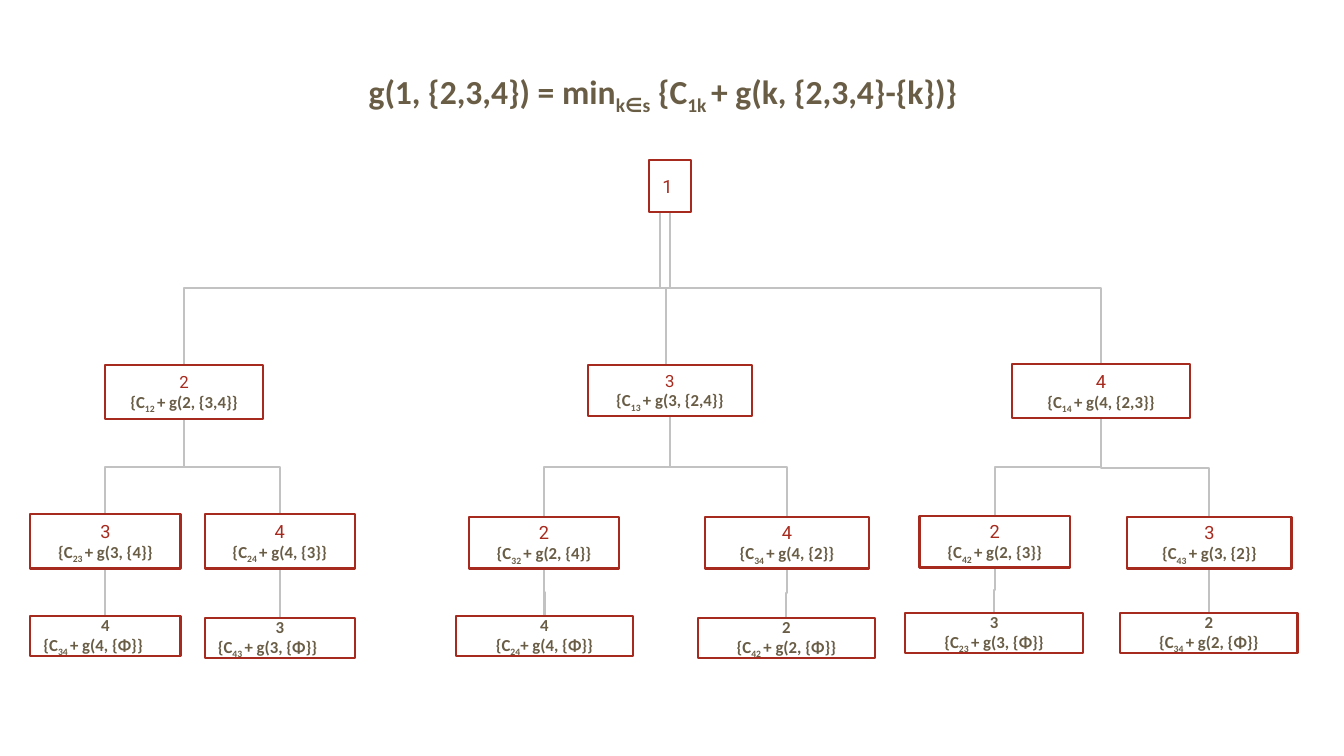
from pptx import Presentation
from pptx.dml.color import RGBColor
from pptx.enum.shapes import MSO_CONNECTOR, MSO_SHAPE
from pptx.enum.text import MSO_ANCHOR, PP_ALIGN
from pptx.oxml.ns import qn
from pptx.util import Inches, Pt
from lxml.etree import SubElement

COLORS = {"red": "A72A1E", "brown": "695D46", "gray": "C2C2C2"}

# Between bars, every second piece is a subscript.
TITLE = "g(1, {2,3,4}) = min|k∈s| {C|1k |+ g(k, {2,3,4}-{k})}"

# Key is the route from the root: left, top, width, height, head size, formula
NODES = {
    "1": (6.44, 1.59, 0.41, 0.51, 13, ""),
    "12": (1.04, 3.62, 1.57, 0.54, 12, "{C|12 |+ g(2, {3,4}}"),
    "13": (5.83, 3.62, 1.63, 0.51, 12, "{C|13 |+ g(3, {2,4}}"),
    "14": (10.04, 3.61, 1.76, 0.54, 13, "{C|14 |+ g(4, {2,3}}"),
    "123": (0.3, 5.1, 1.49, 0.54, 13, "{C|23 |+ g(3, {4}}"),
    "124": (2.03, 5.1, 1.49, 0.54, 13, "{C|24 |+ g(4, {3}}"),
    "132": (4.65, 5.13, 1.49, 0.51, 13, "{C|32 |+ g(2, {4}}"),
    "134": (6.99, 5.13, 1.63, 0.51, 13, "{C|34 |+ g(4, {2}}"),
    "142": (9.12, 5.12, 1.49, 0.51, 13, "{C|42 |+ g(2, {3}}"),
    "143": (11.18, 5.13, 1.63, 0.51, 13, "{C|43 |+ g(3, {2}}"),
    "1234": (0.3, 6.11, 1.49, 0.4, 12, "{C|34 |+ g(4, {Φ}}"),
    "1243": (2.03, 6.13, 1.49, 0.4, 12, "{C|43 |+ g(3, {Φ}}"),
    "1324": (4.52, 6.11, 1.76, 0.4, 12, "{C|24|+ g(4, {Φ}}"),
    "1342": (6.92, 6.13, 1.76, 0.4, 12, "{C|42 |+ g(2, {Φ}}"),
    "1423": (8.98, 6.08, 1.76, 0.4, 12, "{C|23 |+ g(3, {Φ}}"),
    "1432": (11.11, 6.08, 1.76, 0.4, 12, "{C|34 |+ g(2, {Φ}}"),
}
LEFT = {"1234", "1243"}         # formulas set flush left
SHIFTS = {"13": (6.55, 6.61)}   # links that miss the box centres

HEAD = {"name": "Roboto", "bold": False}
BODY = {"name": "Calibri", "bold": True}


def write(para, text, size, look, color, align, space):
    para.alignment, para.line_spacing = align, space
    for i, piece in enumerate(text.split("|")):
        run = para.add_run()
        run.text = piece
        for key, value in {**look, "size": Pt(size)}.items():
            setattr(run.font, key, value)
        run.font.color.rgb = RGBColor.from_string(COLORS[color])
        if i % 2:
            run._r.get_or_add_rPr().set("baseline", "-25000")


def frame(shape, inset, anchor):
    text = shape.text_frame
    values = {"word_wrap": True, "vertical_anchor": anchor}
    for side in ("left", "top", "right", "bottom"):
        values[f"margin_{side}"] = Inches(inset)
    for key, value in values.items():
        setattr(text, key, value)
    return text


def stroke(shape, color):
    shape.line.color.rgb = RGBColor.from_string(COLORS[color])
    shape.line.width = Pt(1.5)


def link(slide, x1, y1, x2, y2):
    """Draw an elbow that leaves and arrives vertically: a level one, turned."""
    long, wide = y2 - y1, abs(x2 - x1)
    left, top = (x1 + x2 - long) / 2, (y1 + y2 - wide) / 2
    start, end = left, left + long
    if x2 > x1:
        start, end = end, start
    line = slide.shapes.add_connector(
        MSO_CONNECTOR.ELBOW, *map(Inches, (start, top, end, top + wide)))
    props = line._element.spPr
    props.find(qn("a:xfrm")).set("rot", "16200000")
    stroke(line, "gray")
    SubElement(props, qn("a:effectLst"))


def join(slide, key):
    """Link a node to its parent."""
    x1, y1, w1, h1 = NODES[key[:-1]][:4]
    x2, y2, w2, h2 = NODES[key][:4]
    start, end = SHIFTS.get(key, (x1 + w1 / 2, x2 + w2 / 2))
    link(slide, start, y1 + h1, end, y2)


def box(slide, key):
    *place, size, body = NODES[key]
    shape = slide.shapes.add_shape(MSO_SHAPE.RECTANGLE, *map(Inches, place))
    shape.shadow.inherit = False
    shape.fill.background()
    stroke(shape, "red")
    text = frame(shape, 0.13, MSO_ANCHOR.MIDDLE)
    leaf = len(key) == 4
    look, color, space = (BODY, "brown", 0.9) if leaf else (HEAD, "red", 1.0)
    align = PP_ALIGN.CENTER if body else PP_ALIGN.LEFT
    write(text.paragraphs[0], key[-1], size, look, color, align, space)
    if body:
        align = PP_ALIGN.LEFT if key in LEFT else PP_ALIGN.CENTER
        write(text.add_paragraph(), body, 12, BODY, "brown", align, 0.9)


def main():
    deck = Presentation()
    deck.slide_width, deck.slide_height = Inches(13.33), Inches(7.5)
    slide = deck.slides.add_slide(deck.slide_layouts[6])
    title = slide.shapes.add_textbox(*map(Inches, (-0.01, 0.61, 13.17, 0.57)))
    text = frame(title, 0.1, MSO_ANCHOR.TOP)
    write(text.paragraphs[0], TITLE, 24, BODY, "brown", PP_ALIGN.CENTER, 0.9)
    for key in NODES:
        if len(key) > 1:
            join(slide, key)
    for key in NODES:
        box(slide, key)
    deck.save("out.pptx")


if __name__ == "__main__":
    main()
